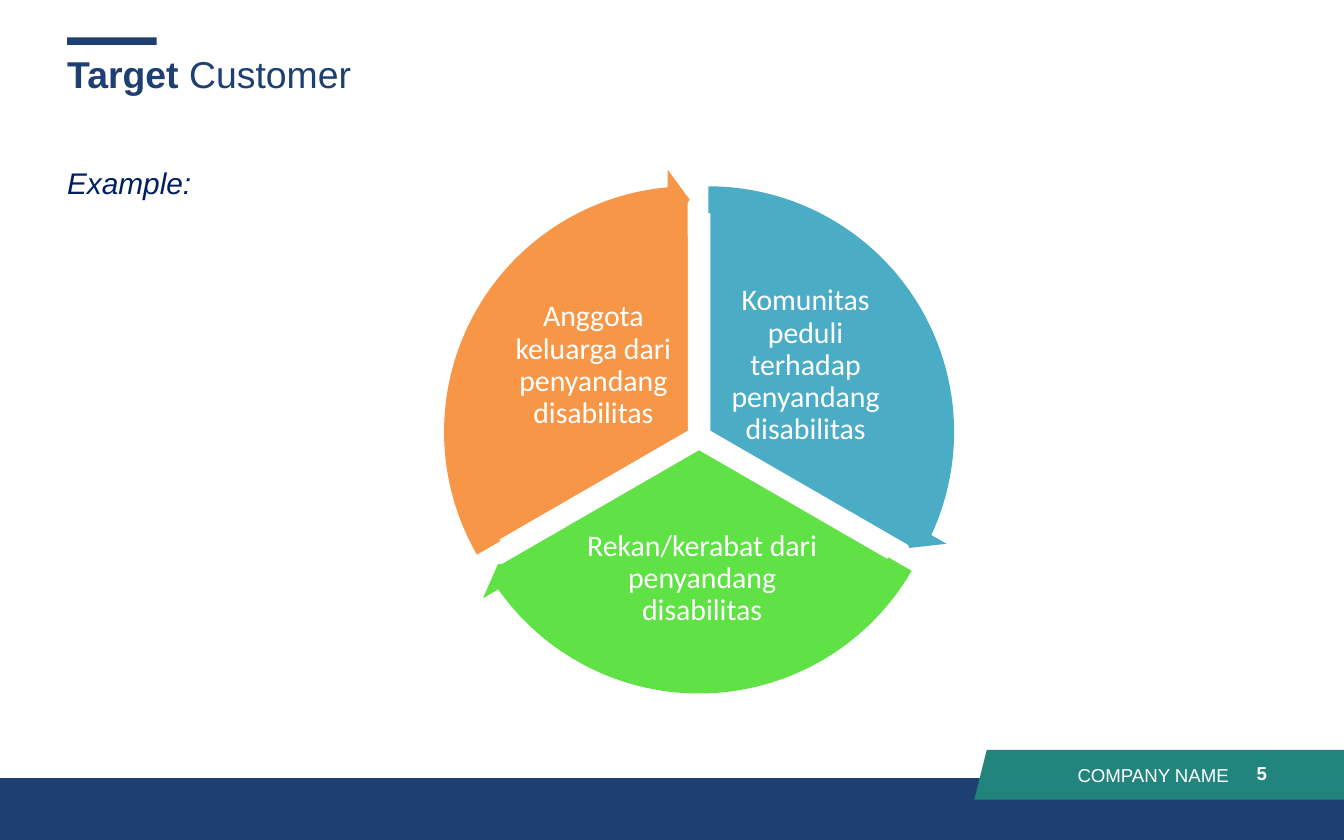
from pptx import Presentation
from pptx import util as u
from pptx.dml import color
from pptx.enum import shapes, text

COLORS = {
    "navy": "1E3F72", "ink": "002060", "teal": "22857D", "white": "FFFFFF",
    "blue": "4BACC6", "green": "60E146", "orange": "F79646",
}
PIE_SIZE = 251.2
ARROW_SIZE = 282
SLICES = [
    ("blue", (379.6, 231.4), (162, 18), (14.725, 161.994),
     (386.6, 158.4, 90, 75), "Komunitas peduli terhadap penyandang disabilitas"),
    ("green", (374.5, 240), (18, 90), (86.72, 18.005),
     (308.9, 277.2, 134.6, 65.5), "Rekan/kerabat dari penyandang disabilitas"),
    ("orange", (369.5, 231.4), (90, 162), (158.73, 90),
     (272.9, 158.4, 90, 75), "Anggota keluarga dari penyandang disabilitas"),
]


def rgb(name):
    return color.RGBColor.from_string(COLORS[name])


def points(box):
    return [u.Pt(v) for v in box]


def add_block(s, kind, box, fill, line=None, adjust=()):
    sp = s.shapes.add_shape(kind, *points(box))
    sp.shadow.inherit = False
    sp.fill.solid()
    sp.fill.fore_color.rgb = rgb(fill)
    if line:
        sp.line.color.rgb = rgb(line)
        sp.line.width = u.Pt(2)
    else:
        sp.line.fill.background()
    for i, value in enumerate(adjust):
        sp.adjustments[i] = value
    return sp


def add_round(s, kind, center, size, fill, adjust, line=None):
    x, y = center
    box = (x - size / 2, y - size / 2, size, size)
    return add_block(s, kind, box, fill, line, adjust)


def set_text(sp, runs, size, ink, font="Arial", align=text.PP_ALIGN.LEFT,
             anchor=text.MSO_ANCHOR.TOP, inset=(6, 3)):
    tf = sp.text_frame
    tf.word_wrap = True
    tf.auto_size = text.MSO_AUTO_SIZE.NONE
    tf.vertical_anchor = anchor
    tf.margin_left = tf.margin_right = u.Pt(inset[0])
    tf.margin_top = tf.margin_bottom = u.Pt(inset[1])
    p = tf.paragraphs[0]
    p.alignment = align
    for words, bold, italic in runs:
        r = p.add_run()
        r.text = words
        r.font.name = font
        r.font.size = u.Pt(size)
        r.font.bold = bold
        r.font.italic = italic
        r.font.color.rgb = rgb(ink)
    return p


def add_text(s, box, runs, size, ink, **style):
    return set_text(s.shapes.add_textbox(*points(box)), runs, size, ink, **style)


def add_title(s, box, runs):
    sp = s.shapes.title
    sp.left, sp.top, sp.width, sp.height = points(box)
    set_text(sp, runs, 20, "navy", anchor=text.MSO_ANCHOR.MIDDLE)


def add_frame(s):
    kinds = shapes.MSO_SHAPE
    add_block(s, kinds.RECTANGLE, (0, 416.9, 720, 33.1), "navy")
    add_block(s, kinds.PARALLELOGRAM, (522, 401.8, 208.8, 26.6), "teal")
    add_block(s, kinds.RECTANGLE, (36, 20, 48, 4), "navy")
    add_text(s, (268.6, 405.4, 396.7, 23.8), [("COMPANY NAME", False, False)],
             10, "white", align=text.PP_ALIGN.RIGHT, inset=(7.2, 3.6))
    add_text(s, (655.9, 402.5, 28.8, 23.8), [("5", True, False)], 10, "white",
             align=text.PP_ALIGN.RIGHT, anchor=text.MSO_ANCHOR.MIDDLE)


def add_cycle(s):
    for fill, center, angles, _, box, label in SLICES:
        add_round(s, shapes.MSO_SHAPE.PIE, center, PIE_SIZE, fill, angles, "white")
        p = add_text(s, box, [(label, False, False)], 16, "white", font="Calibri",
                     align=text.PP_ALIGN.CENTER, anchor=text.MSO_ANCHOR.MIDDLE,
                     inset=(1.6, 1.6))
        p.line_spacing = 0.9
    for fill, center, _, (end, start), _, _ in SLICES:
        add_round(s, shapes.MSO_SHAPE.CIRCULAR_ARROW, center, ARROW_SIZE, fill,
                  (0.051, 3.275, end, start, 0.059))


def main():
    prs = Presentation()
    prs.slide_width, prs.slide_height = u.Pt(720), u.Pt(450)
    s = prs.slides.add_slide(prs.slide_layouts[5])
    add_frame(s)
    add_title(s, (30, 24.5, 302.4, 29.5),
              [("Target ", True, False), ("Customer", False, False)])
    add_text(s, (30, 85, 648, 298.8), [("Example:", False, True)], 16, "ink")
    add_cycle(s)
    prs.save("out.pptx")


if __name__ == "__main__":
    main()
